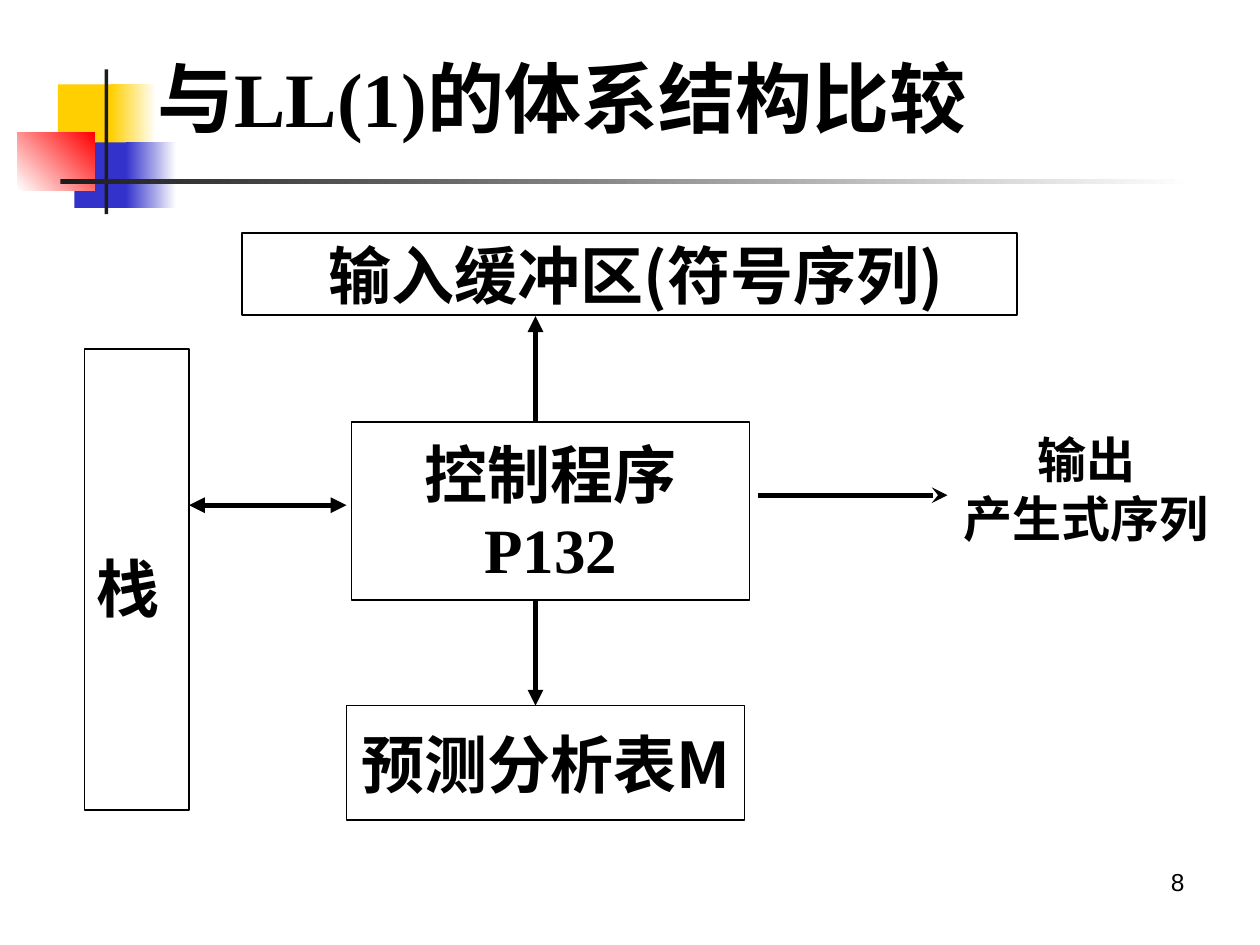
from pptx import Presentation
from pptx.dml.color import RGBColor
from pptx.enum.shapes import MSO_CONNECTOR, MSO_SHAPE
from pptx.enum.text import MSO_ANCHOR, PP_ALIGN
from pptx.oxml.ns import qn
from pptx.util import Inches, Pt
from lxml.etree import SubElement

BLACK = RGBColor(0, 0, 0)
WHITE = RGBColor(0xFF, 0xFF, 0xFF)
DARK = RGBColor(0x1C, 0x1C, 0x1C)
YELLOW = RGBColor(0xFF, 0xCF, 0x01)
BLUE = RGBColor(0x33, 0x33, 0xCC)
RED = RGBColor(0xFF, 0, 0)
CJK, SERIF, SANS = "Noto Sans CJK SC", "Times New Roman", "Arial"
LEFT, CENTER, RIGHT = PP_ALIGN.LEFT, PP_ALIGN.CENTER, PP_ALIGN.RIGHT

# Content: position, then colours (two for a gradient) and gradient angle
DECOR = [
    ((0.46, 0.67, 0.48, 0.52), [YELLOW], 0),
    ((0.88, 0.67, 0.36, 0.52), [YELLOW, WHITE], 0),
    ((0.59, 1.13, 0.46, 0.52), [BLUE], 0),
    ((1, 1.13, 0.4, 0.52), [BLUE, WHITE], 0),
    ((0.14, 1.05, 0.61, 0.46), [WHITE, RED], 45),
    ((0.83, 0.55, 0.03, 1.15), [DARK], 0),
    ((0.48, 1.42, 9, 0.04), [DARK, WHITE], 0),
]
TITLE = "与LL(1)的体系结构比较"
# Position, lines of (text, font), alignment, line spacing, left inset
BOXES = [
    ((1.92, 1.85, 6.15, 0.65), [("输入缓冲区(符号序列)", CJK)], CENTER, 1, 0.2),
    ((0.67, 2.77, 0.83, 3.66), [("栈", CJK)], LEFT, 1.2, 0.1),
    ((2.79, 3.35, 3.16, 1.41), [("控制程序", CJK), ("P132", SERIF)], CENTER, 1, 0.1),
    ((2.75, 5.6, 3.16, 0.91), [("预测分析表M", CJK)], CENTER, 1, 0.1),
]
# Start, end, arrowheads by end
ARROWS = [
    ((4.25, 3.35), (4.25, 2.51), {"tailEnd": "triangle"}),
    ((2.75, 4.01), (1.5, 4.01), {"headEnd": "triangle", "tailEnd": "triangle"}),
    ((4.25, 5.6), (4.25, 4.76), {"headEnd": "triangle"}),
    ((6.02, 3.93), (7.52, 3.93), {"tailEnd": "stealth"}),
]
OUTPUT = [("输出", CJK), ("产生式序列", CJK)]


def write(tf, lines, size, align, bold=True, spacing=1):
    tf.text = "\n".join(text for text, _ in lines)
    for p, (_, font) in zip(tf.paragraphs, lines):
        p.alignment = align
        p.line_spacing = spacing
        p.space_before = Pt(0)
        for r in p.runs:
            r.font.size, r.font.bold, r.font.name = Pt(size), bold, font
            r.font.color.rgb = BLACK
            SubElement(r.font._element, qn("a:ea"), typeface=CJK)


def add_rect(shapes, at):
    sp = shapes.add_shape(MSO_SHAPE.RECTANGLE, *map(Inches, at))
    sp.shadow.inherit = False
    return sp


prs = Presentation()
prs.slide_width, prs.slide_height = Inches(10), Inches(7.5)
s = prs.slides.add_slide(prs.slide_layouts[5])
shapes = s.shapes

# Corner decoration
for at, colors, angle in DECOR:
    sp = add_rect(shapes, at)
    sp.line.fill.background()
    if len(colors) == 1:
        sp.fill.solid()
        sp.fill.fore_color.rgb = colors[0]
    else:
        sp.fill.gradient()
        sp.fill.gradient_angle = angle
        for stop, color, position in zip(sp.fill.gradient_stops, colors, (0, 1)):
            stop.color.rgb = color
            stop.position = position

# Slide number
number = shapes.add_textbox(*map(Inches, (7.17, 6.83, 2.33, 0.52)))
number.text_frame.word_wrap = True
write(number.text_frame, [("8", SANS)], 14, RIGHT, bold=False)

# Title, moved in front of the decoration
title = shapes.title
title.left, title.top, title.width, title.height = map(Inches, (1.15, 0.36, 7, 0.82))
title.text_frame.vertical_anchor = MSO_ANCHOR.MIDDLE
write(title.text_frame, [(TITLE, SERIF)], 44, LEFT)
number._element.addnext(title._element)

# Component boxes
for at, lines, align, spacing, inset in BOXES:
    sp = add_rect(shapes, at)
    sp.fill.background()
    sp.line.color.rgb = BLACK
    sp.line.width = Pt(1)
    tf = sp.text_frame
    tf.word_wrap = False
    tf.vertical_anchor = MSO_ANCHOR.MIDDLE
    tf.margin_left = Inches(inset)
    write(tf, lines, 36, align, spacing=spacing)

# Arrows
for start, end, heads in ARROWS:
    line = shapes.add_connector(MSO_CONNECTOR.STRAIGHT, *map(Inches, start + end))
    line.line.color.rgb = BLACK
    line.line.width = Pt(3)
    ln = line.line._get_or_add_ln()
    for tag, kind in heads.items():
        SubElement(ln, qn(f"a:{tag}"), type=kind)
    SubElement(line._element.spPr, qn("a:effectLst"))

# Output label
label = shapes.add_textbox(*map(Inches, (7.44, 3.36, 2.36, 1.04)))
label.text_frame.word_wrap = True
write(label.text_frame, OUTPUT, 28, CENTER)

prs.save("out.pptx")
